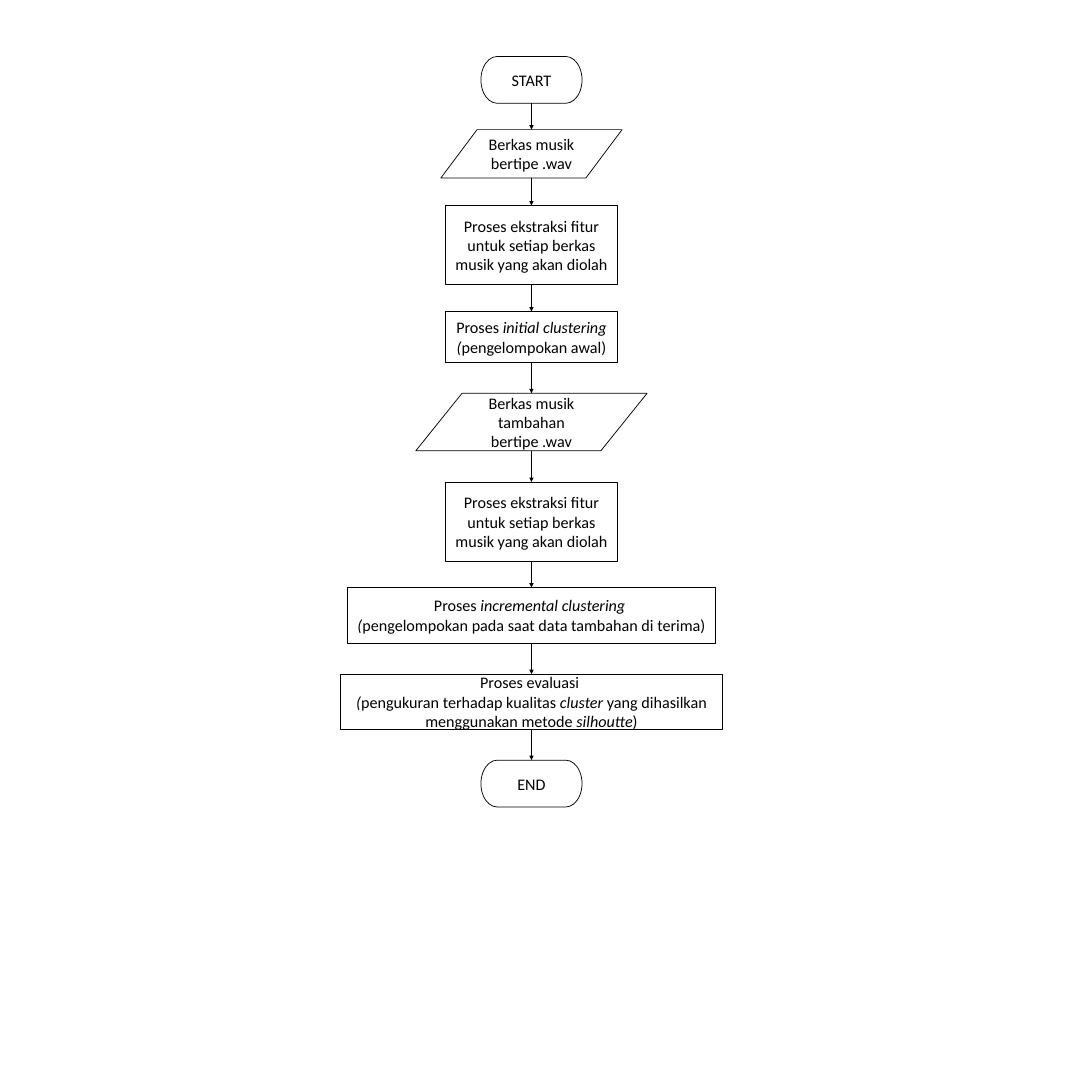
import pptx
import pptx.dml.color
import pptx.enum.shapes
import pptx.enum.text
import pptx.oxml
import pptx.oxml.ns
import pptx.util

Inches = pptx.util.Inches
Pt = pptx.util.Pt
SHAPES = pptx.enum.shapes.MSO_SHAPE

CENTER = 9.88
FEATURE_EXTRACTION = [["Proses ekstraksi fitur untuk setiap berkas musik yang akan diolah"]]

# Kind, top, width, height, paragraphs; a run in a tuple is italic.
STEPS = [
    ("terminator", 1.05, 1.88, 0.87, [["START"]]),
    ("data", 2.41, 3.37, 0.9, [["Berkas musik bertipe .wav"]]),
    ("process", 3.82, 3.19, 1.47, FEATURE_EXTRACTION),
    ("process", 5.79, 3.19, 0.95,
     [["Proses ", ("initial clustering (",), "pengelompokan awal)"]]),
    ("data", 7.31, 4.3, 1.07, [["Berkas musik tambahan bertipe .wav"]]),
    ("process", 8.96, 3.19, 1.47, FEATURE_EXTRACTION),
    ("process", 10.92, 6.85, 1.03,
     [["Proses ", ("incremental clustering ",)],
      [("(",), "pengelompokan pada saat data tambahan di terima)"]]),
    ("process", 12.53, 7.09, 1.03,
     [["Proses evaluasi "],
      [("(",), "pengukuran terhadap kualitas ", ("cluster",),
       " yang dihasilkan menggunakan metode ", ("silhoutte",), ")"]]),
    ("terminator", 14.13, 1.88, 0.87, [["END"]]),
]


def color(hex_string):
    return pptx.dml.color.RGBColor.from_string(hex_string)


class Flowchart:
    """Style of the flowchart and the slide it is drawn on."""

    font = "Calibri"
    size = 21.6
    ink = "000000"
    paper = "FFFFFF"
    kinds = {
        "terminator": SHAPES.FLOWCHART_TERMINATOR,
        "data": SHAPES.FLOWCHART_DATA,
        "process": SHAPES.FLOWCHART_PROCESS,
    }

    def __init__(self, slide):
        self.slide = slide

    def step(self, kind, top, width, height, paragraphs):
        shape = self.slide.shapes.add_shape(
            self.kinds[kind], Inches(CENTER - width / 2), Inches(top),
            Inches(width), Inches(height))
        shape.shadow.inherit = False
        shape.fill.solid()
        shape.fill.fore_color.rgb = color(self.paper)
        shape.line.color.rgb = color(self.ink)
        shape.line.width = Pt(1)
        frame = shape.text_frame
        frame.word_wrap = True
        frame.vertical_anchor = pptx.enum.text.MSO_ANCHOR.MIDDLE
        frame.margin_left = frame.margin_right = Inches(0.12)
        frame.margin_top = frame.margin_bottom = Inches(0.06)
        for index, runs in enumerate(paragraphs):
            paragraph = frame.add_paragraph() if index else frame.paragraphs[0]
            paragraph.alignment = pptx.enum.text.PP_ALIGN.CENTER
            for item in runs:
                self.run(paragraph, item)

    def run(self, paragraph, item):
        italic = isinstance(item, tuple)
        run = paragraph.add_run()
        run.text = item[0] if italic else item
        run.font.name = self.font
        run.font.size = Pt(self.size)
        run.font.italic = italic
        run.font.color.rgb = color(self.ink)

    def arrow(self, start, end):
        """Draw an arrow down the centre line."""
        connector = self.slide.shapes.add_connector(
            pptx.enum.shapes.MSO_CONNECTOR.STRAIGHT,
            Inches(CENTER), Inches(start), Inches(CENTER), Inches(end))
        connector.line.color.rgb = color(self.ink)
        connector.line.width = Pt(0.5)
        line = connector.line._get_or_add_ln()
        head = pptx.oxml.parse_xml(
            f'<a:tailEnd {pptx.oxml.ns.nsdecls("a")} type="triangle"/>')
        line.append(head)
        effects = pptx.oxml.parse_xml(
            f'<a:effectLst {pptx.oxml.ns.nsdecls("a")}/>')
        line.addnext(effects)


def main():
    presentation = pptx.Presentation()
    presentation.slide_width = Inches(20.3)
    presentation.slide_height = Inches(20)
    blank = presentation.slide_layouts[6]
    flowchart = Flowchart(presentation.slides.add_slide(blank))
    for step in STEPS:
        flowchart.step(*step)
    for (_, top, _, height, _), following in zip(STEPS, STEPS[1:]):
        flowchart.arrow(top + height, following[1])
    presentation.save("out.pptx")


if __name__ == "__main__":
    main()
